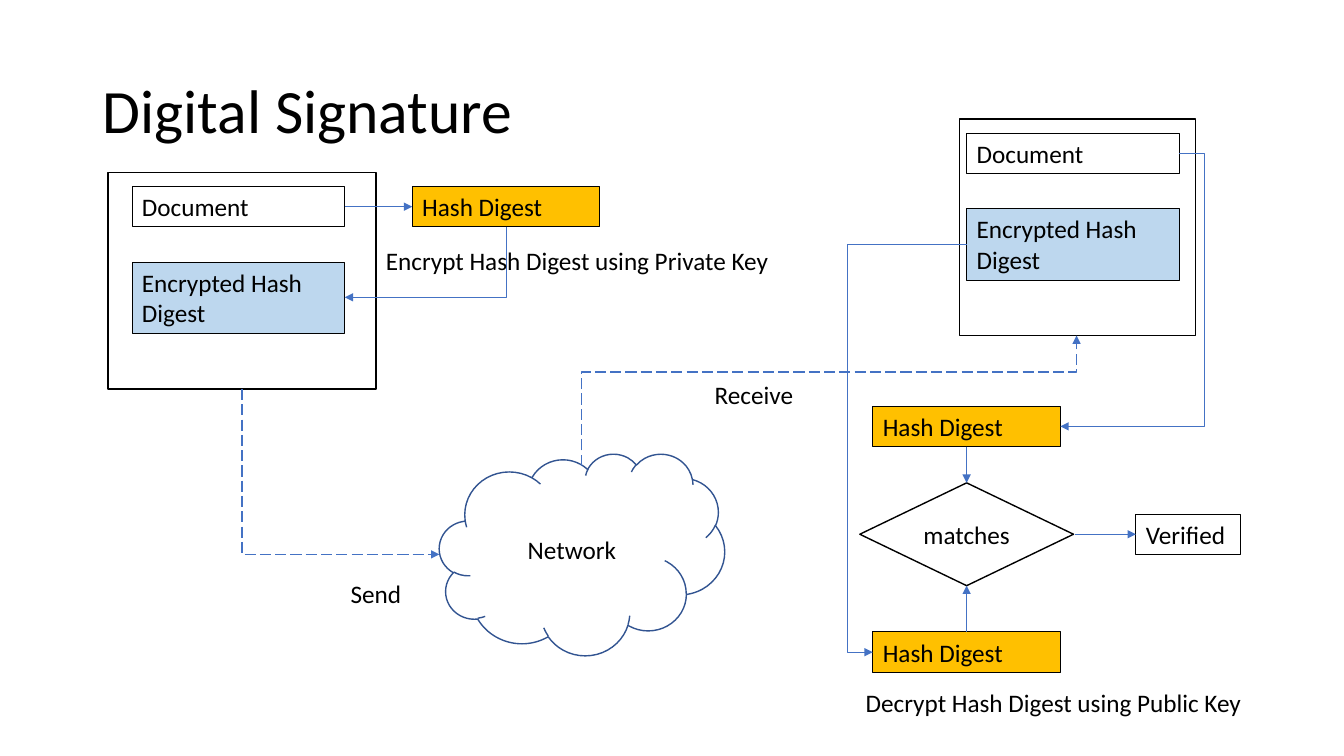
"""Build the Digital Signature flow slide."""
from lxml.etree import SubElement
from pptx import Presentation
from pptx.dml.color import RGBColor
from pptx.enum.dml import MSO_LINE
from pptx.enum.shapes import MSO_CONNECTOR as Connector, MSO_SHAPE as Shape
from pptx.enum.text import MSO_ANCHOR as Anchor, MSO_AUTO_SIZE as AutoSize, PP_ALIGN as Align
from pptx.oxml.ns import qn
from pptx.util import Pt

PX = 9144
FONT = "Calibri"
COLORS = {"black": "000000", "white": "FFFFFF", "gold": "FFC000",
          "sky": "BDD7EE", "arrow": "4472C4", "cloud": "325491"}

TITLE = ("Digital Signature", (92, 40, 1150, 145))
SIDES = [((131, 185), (107, 171, 266, 215)), ((959, 132), (952, 118, 234, 215))]
DOCUMENT_SIZE = (211, 40)
ENCRYPTED_SIZE = (211, 71)
ENCRYPTED_DROP = 75
DIGEST_SIZE = (186, 40)
DIGESTS = [(409, 185), (866, 403), (866, 627)]
VERIFIED = ("Verified", (1127, 510, 104, 40))
NODES = [
    ("Network", Shape.CLOUD, (436, 450, 283, 200), "cloud"),
    ("matches", Shape.FLOWCHART_DECISION, (853, 479, 212, 102), "black"),
]
KEY_LABELS = [
    ("Encrypt Hash Digest using Private Key", (373, 238, 431, 40)),
    ("Decrypt Hash Digest using Public Key", (849, 677, 431, 40)),
]
STEP_LABELS = [("Send", (305, 550, 136, 77)), ("Receive", (680, 353, 136, 77))]

STRAIGHT_ARROWS = [
    ((342, 205), (409, 205)),
    ((959, 443), (959, 479)),
    ((959, 627), (959, 581)),
    ((1066, 530), (1127, 530)),
]
SIDE_ARROWS = [
    ((959, 242), (866, 647), 841),
    ((1170, 152), (1052, 423), 1195),
]
VERTICAL_ARROWS = [
    ((502, 225), (342, 295), None, False),
    ((240, 386), (436, 550), None, True),
    ((577, 462), (1068, 333), 369, True),
]


def emu(lengths):
    return [round(length * PX) for length in lengths]


def color(name):
    return RGBColor.from_string(COLORS[name])


def write(frame, text, size=18, align=Align.LEFT, anchor=Anchor.TOP, spacing=None):
    frame.word_wrap = True
    frame.auto_size = AutoSize.NONE
    frame.vertical_anchor = anchor
    para = frame.paragraphs[0]
    para.alignment = align
    para.line_spacing = spacing
    span = para.add_run()
    span.text = text
    span.font.name = FONT
    span.font.size = Pt(size)
    span.font.color.rgb = color("black")


def add_box(page, area, fill=None, line="black", width=0.75, kind=Shape.RECTANGLE):
    box = page.shapes.add_shape(kind, *emu(area))
    box.shadow.inherit = False
    if fill:
        box.fill.solid()
        box.fill.fore_color.rgb = color(fill)
    else:
        box.fill.background()
    box.line.color.rgb = color(line)
    box.line.width = Pt(width)
    return box


def add_label(page, text, area, **style):
    write(page.shapes.add_textbox(*emu(area)).text_frame, text, **style)


def add_arrow(page, start, end, kind=Connector.STRAIGHT, dashed=False):
    arrow = page.shapes.add_connector(kind, *emu(start + end))
    arrow.line.color.rgb = color("arrow")
    arrow.line.width = Pt(1 if dashed else 0.5)
    if dashed:
        arrow.line.dash_style = MSO_LINE.LONG_DASH
    properties = arrow._element.spPr
    SubElement(properties.find(qn("a:ln")), qn("a:tailEnd"), type="triangle")
    SubElement(properties, qn("a:effectLst"))
    return properties


def set_bend(properties, start, end, bend):
    ratio = round(100000 * (bend - start) / (end - start))
    guides = properties.find(qn("a:prstGeom")).find(qn("a:avLst"))
    SubElement(guides, qn("a:gd"), name="adj1", fmla=f"val {ratio}")


def add_side_arrow(page, start, end, bend):
    properties = add_arrow(page, start, end, Connector.ELBOW)
    set_bend(properties, start[0], end[0], bend)


def add_vertical_arrow(page, start, end, bend, dashed):
    """Lay the elbow on its side around its centre, then turn it by 90 degrees."""
    (x1, y1), (x2, y2) = start, end
    middle_x, middle_y = (x1 + x2) / 2, (y1 + y2) / 2
    half_run, half_drop = (x2 - x1) / 2, (y2 - y1) / 2
    properties = add_arrow(page, (middle_x - half_drop, middle_y + half_run),
                           (middle_x + half_drop, middle_y - half_run),
                           Connector.ELBOW, dashed)
    properties.find(qn("a:xfrm")).set("rot", "5400000")
    if bend is None:
        properties.find(qn("a:prstGeom")).set("prst", "bentConnector2")
    else:
        set_bend(properties, y1, y2, bend)


def main():
    deck = Presentation()
    deck.slide_width, deck.slide_height = emu((1333.33, 750))
    page = deck.slides.add_slide(deck.slide_layouts[5])

    text, area = TITLE
    title = page.shapes.title
    title.left, title.top, title.width, title.height = emu(area)
    write(title.text_frame, text, size=44, anchor=Anchor.MIDDLE, spacing=0.9)

    boxes = [(*VERIFIED, None)]
    for (left, top), frame in SIDES:
        add_box(page, frame, width=1)
        boxes.append(("Document", (left, top, *DOCUMENT_SIZE), None))
        boxes.append(("Encrypted Hash Digest",
                      (left, top + ENCRYPTED_DROP, *ENCRYPTED_SIZE), "sky"))
    boxes += [("Hash Digest", spot + DIGEST_SIZE, "gold") for spot in DIGESTS]
    for text, area, fill in boxes:
        write(add_box(page, area, fill).text_frame, text)

    for text, kind, area, line in NODES:
        node = add_box(page, area, "white", line, 1, kind)
        write(node.text_frame, text, align=Align.CENTER, anchor=Anchor.MIDDLE)

    for start, end in STRAIGHT_ARROWS:
        add_arrow(page, start, end)
    for route in SIDE_ARROWS:
        add_side_arrow(page, *route)
    for route in VERTICAL_ARROWS:
        add_vertical_arrow(page, *route)

    for text, area in KEY_LABELS:
        add_label(page, text, area)
    for text, area in STEP_LABELS:
        add_label(page, text, area, align=Align.CENTER, anchor=Anchor.MIDDLE)

    deck.save("out.pptx")


if __name__ == "__main__":
    main()
